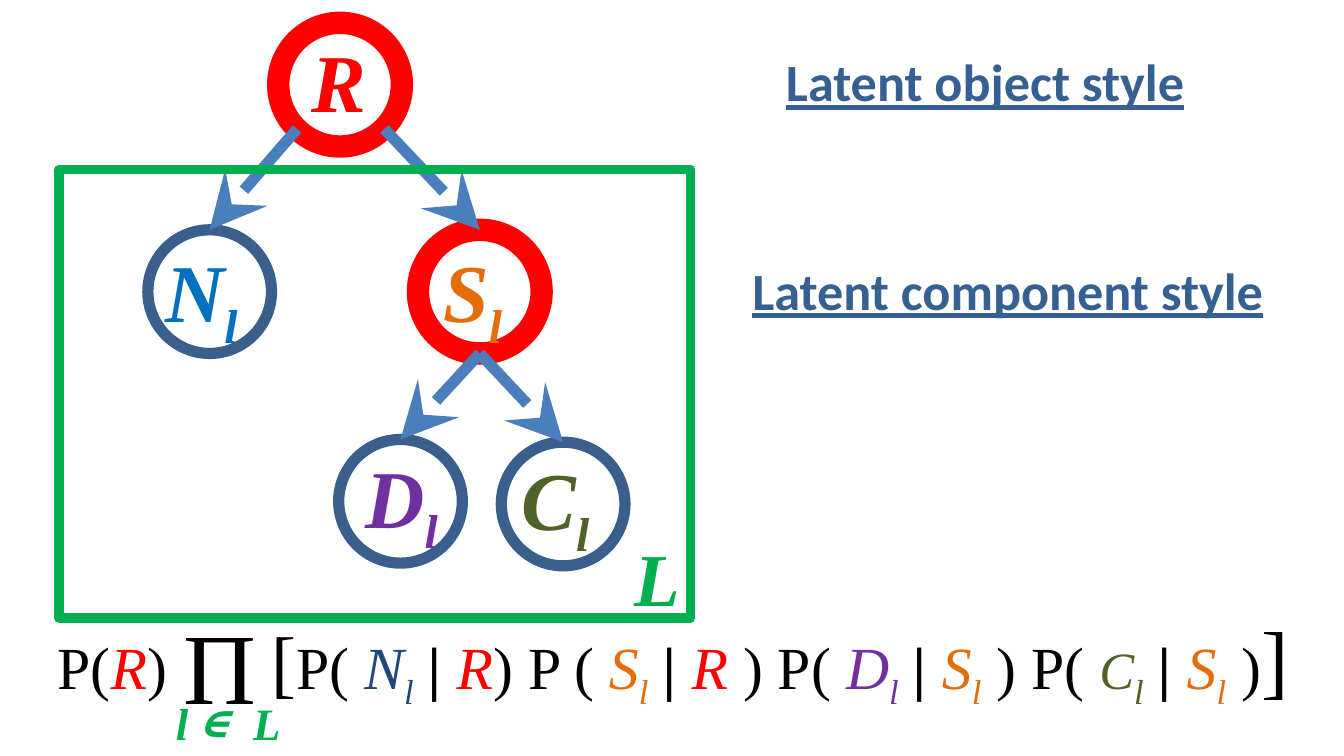
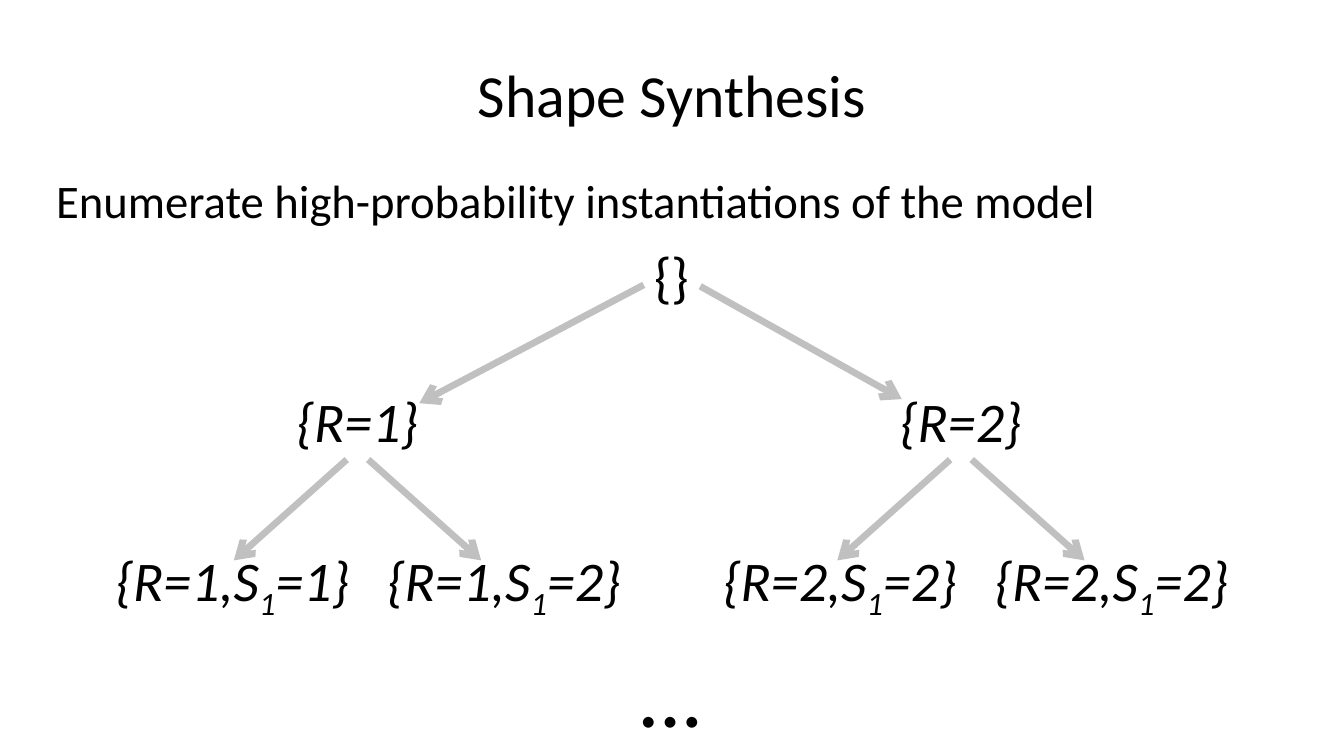
from lxml.etree import SubElement
from pptx import Presentation
from pptx.dml.color import RGBColor
from pptx.enum.shapes import MSO_CONNECTOR, MSO_SHAPE as SHAPE
from pptx.enum.text import MSO_ANCHOR as ANCHOR, PP_ALIGN as ALIGN
from pptx.oxml.ns import qn
from pptx.util import Inches, Pt

BLACK = RGBColor(0x00, 0x00, 0x00)
RED = RGBColor(0xFF, 0x00, 0x00)
GREEN = RGBColor(0x00, 0xB0, 0x50)
ORANGE = RGBColor(0xE4, 0x6C, 0x0A)
PURPLE = RGBColor(0x70, 0x30, 0xA0)
OLIVE = RGBColor(0x4F, 0x62, 0x28)
SKY = RGBColor(0x00, 0x70, 0xC0)
NAVY = RGBColor(0x1F, 0x49, 0x7D)
HEADING = RGBColor(0x37, 0x60, 0x92)
RING = RGBColor(0x3A, 0x5F, 0x8C)
ARROW = RGBColor(0x4B, 0x7E, 0xBC)
GREY = RGBColor(0xC0, 0xC0, 0xC0)
SERIF, SANS, MONO = "Times New Roman", "Calibri", "Noto Sans Mono"

DIAMETER = 0.92
VARIABLES = {
    "R": dict(at=(2.07, 0.17), ring=(RED, 12), color=RED, sub="", shift=(0.15, 0.01)),
    "N": dict(at=(1.1, 1.71), ring=(RING, 6), color=SKY, sub="l", shift=(0.03, 0.03)),
    "S": dict(at=(3.11, 1.71), ring=(RED, 12), color=ORANGE, sub="l", shift=(0.09, 0.03)),
    "D": dict(at=(2.52, 3.27), ring=(RING, 6), color=PURPLE, sub="l", shift=(0.1, 0)),
    "C": dict(at=(3.73, 3.29), ring=(RING, 6), color=OLIVE, sub="l", shift=(0.05, 0)),
}
DEPENDENCIES = [
    ((2.21, 0.96), "N"), ((2.86, 0.96), "S"),
    ((3.57, 2.63), "D"), ((3.57, 2.63), "C"),
]
STYLE_HEADINGS = [
    ("Latent object style", (5.75, 0.32, 3.36, 0.57)),
    ("Latent component style", (5.5, 1.87, 4.28, 0.57)),
]
PRIOR = [("P(", BLACK), ("R", RED, "i"), (")", BLACK)]
BAR = (" | ", BLACK, "bi")
CONDITIONALS = [
    ("[", BLACK, "", 40), ("P( ", BLACK),
    ("N", NAVY, "i"), ("l", NAVY, "is"), BAR, ("R", RED, "i"), (") P ( ", BLACK),
    ("S", ORANGE, "i"), ("l", ORANGE, "is"), BAR, ("R ", RED, "i"), (") P( ", BLACK),
    ("D", PURPLE, "i"), ("l", PURPLE, "is"), BAR, ("S", ORANGE, "i"),
    ("l", ORANGE, "is"), (" ) P( ", BLACK),
    ("C", OLIVE, "i", 28), ("l", OLIVE, "is"), BAR, ("S", ORANGE, "i"),
    ("l", ORANGE, "is"), (" )", BLACK), ("]", BLACK, "", 44),
]
INDEX_SET = [("l ", GREEN), ("∈ ", GREEN, "", None, MONO), ("L", GREEN)]

ROOT_Y, BRANCH_Y, LEAF_Y = 2.05, 3.13, 4.34
BRANCHES = [
    ("1", 2.66, [("1", 1.73), ("2", 3.75)]),
    ("2", 7.15, [("2", 6.25), ("2", 8.27)]),
]
ROOT_ARROWS = [((4.79, 2.12), (3.12, 3)), ((5.21, 2.13), (6.71, 2.97))]


def add_text(slide, box, runs, size, font=SERIF, bold=False, italic=False,
             underline=False, align=ALIGN.LEFT, anchor=ANCHOR.TOP):
    frame = slide.shapes.add_textbox(*map(Inches, box)).text_frame
    frame.word_wrap = False
    frame.vertical_anchor = anchor
    paragraph = frame.paragraphs[0]
    paragraph.alignment = align
    base = paragraph.font
    base.name, base.size = font, Pt(size)
    base.bold, base.italic, base.underline = bold, italic, underline
    for text, color, *rest in runs:
        style, own_size, own_font = rest + ["", None, None][len(rest):]
        run = paragraph.add_run()
        run.text = text
        run.font.color.rgb = color
        if "b" in style:
            run.font.bold = True
        if "i" in style:
            run.font.italic = True
        if "s" in style:
            run._r.get_or_add_rPr().set("baseline", "-25000")
        if own_size:
            run.font.size = Pt(own_size)
        if own_font:
            run.font.name = own_font


def add_outline(slide, kind, box, color, width):
    outline = slide.shapes.add_shape(kind, *map(Inches, box))
    outline.shadow.inherit = False
    outline.fill.background()
    outline.line.color.rgb = color
    outline.line.width = Pt(width)
    return outline


def add_arrow(slide, start, end, color, width, head, head_size="med"):
    arrow = slide.shapes.add_connector(MSO_CONNECTOR.STRAIGHT, *map(Inches, start + end))
    arrow.line.color.rgb = color
    arrow.line.width = Pt(width)
    SubElement(arrow.line._get_or_add_ln(), qn("a:tailEnd"),
               type=head, w=head_size, len=head_size)
    SubElement(arrow._element.spPr, qn("a:effectLst"))
    return arrow


def build_model(deck):
    slide = deck.slides.add_slide(deck.slide_layouts[6])
    rings = {
        name: add_outline(slide, SHAPE.OVAL, (*part["at"], DIAMETER, DIAMETER), *part["ring"])
        for name, part in VARIABLES.items()
    }
    for start, child in DEPENDENCIES:
        left, top = VARIABLES[child]["at"]
        arrow = add_arrow(slide, start, (left + DIAMETER / 2, top), ARROW, 6, "stealth", "lg")
        arrow.end_connect(rings[child], 0)
    add_outline(slide, SHAPE.RECTANGLE, (0.44, 1.26, 4.7, 3.34), GREEN, 5)
    for name, part in VARIABLES.items():
        left, top = (a + b for a, b in zip(part["at"], part["shift"]))
        runs = [(name, part["color"])]
        if part["sub"]:
            runs.append((part["sub"], part["color"], "s"))
        add_text(slide, (left, top, 0.83, 0.84), runs, 44, bold=True, italic=True)
    add_text(slide, (4.62, 3.91, 0.62, 0.77), [("L", GREEN)], 40, bold=True, italic=True)
    add_text(slide, (0.33, 4.64, 1.2, 0.64), PRIOR, 32)
    add_text(slide, (1.92, 4.47, 7.9, 0.84), CONDITIONALS, 32)
    add_text(slide, (1.27, 4.44, 0.75, 1.01), [("Π", BLACK)], 54)
    add_text(slide, (1.21, 5.13, 1.04, 0.5), INDEX_SET, 24, bold=True, italic=True)
    for heading, box in STYLE_HEADINGS:
        add_text(slide, box, [(heading, HEADING)], 28, SANS, bold=True, underline=True)


def add_state(slide, center, middle, runs, size=30, italic=True):
    width, height = 2, 0.6
    add_text(slide, (center - width / 2, middle - height / 2, width, height), runs, size,
             SANS, italic=italic, align=ALIGN.CENTER, anchor=ANCHOR.MIDDLE)


def build_synthesis(deck):
    slide = deck.slides.add_slide(deck.slide_layouts[5])
    title = slide.shapes.title
    title.left, title.top, title.width, title.height = map(Inches, (0.5, 0.23, 9, 0.94))
    title.text_frame.text = "Shape Synthesis"
    title.text_frame.vertical_anchor = ANCHOR.MIDDLE
    heading = title.text_frame.paragraphs[0]
    heading.alignment = ALIGN.CENTER
    heading.font.name, heading.font.size = SANS, Pt(32)
    heading.font.color.rgb = BLACK
    add_text(slide, (0.32, 1.23, 9.58, 0.52),
             [("Enumerate high-probability instantiations of the model", BLACK)], 25, SANS)

    add_state(slide, 5, ROOT_Y, [("{}", BLACK)], italic=False)
    for start, end in ROOT_ARROWS:
        add_arrow(slide, start, end, GREY, 3.6, "arrow")
    for r, center, leaves in BRANCHES:
        add_state(slide, center, BRANCH_Y, [(f"{{R={r}}}", BLACK)])
        for side, (s, leaf_center) in zip((-1, 1), leaves):
            add_arrow(slide, (center + side * 0.08, 3.42), (center + side * 0.92, 4.17),
                      GREY, 3.6, "arrow")
            add_state(slide, leaf_center, LEAF_Y,
                      [(f"{{R={r},S", BLACK), ("1", BLACK, "s"), (f"={s}}}", BLACK)])
    add_state(slide, 5, 5.15, [("…", BLACK)], 48)


def main():
    deck = Presentation()
    deck.slide_width = Inches(10)
    deck.slide_height = deck.slide_width * 9 // 16
    build_model(deck)
    build_synthesis(deck)
    deck.save("out.pptx")


if __name__ == "__main__":
    main()
